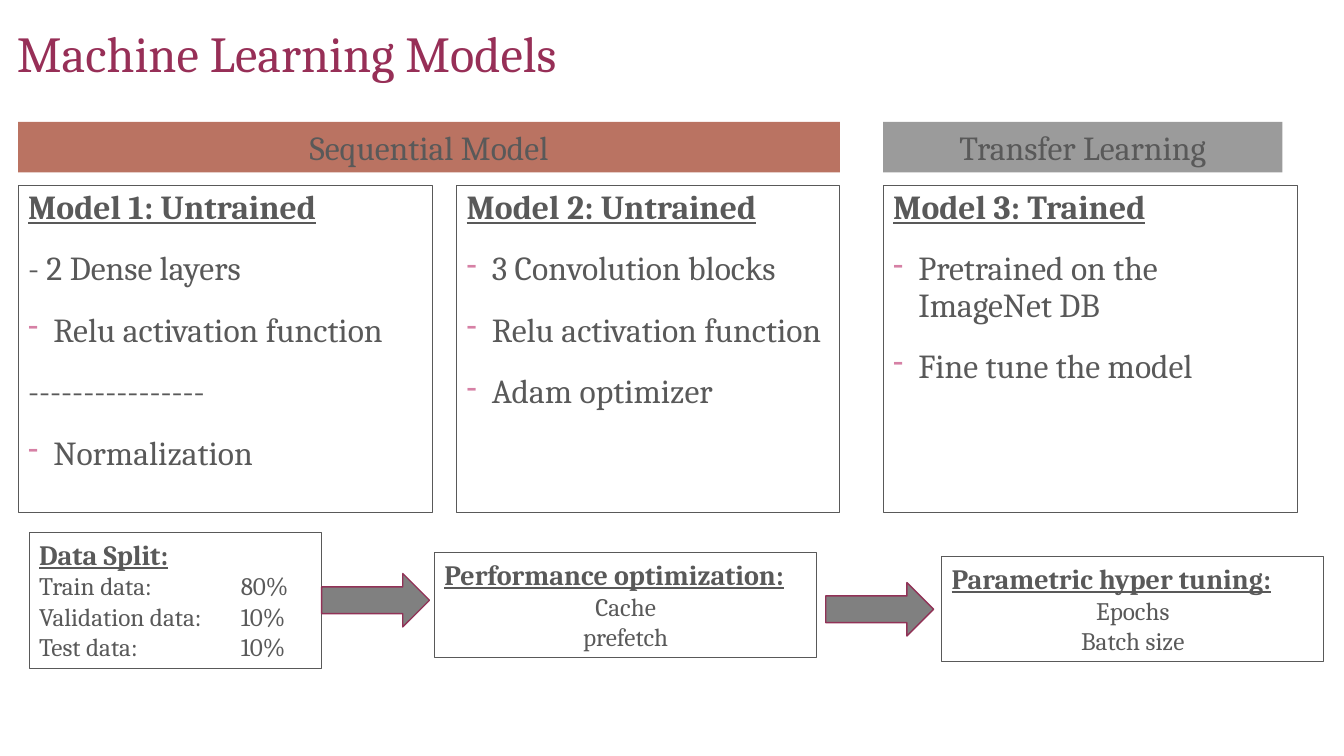
from dataclasses import dataclass

from lxml.etree import SubElement
from pptx import Presentation
from pptx.dml.color import RGBColor as Rgb
from pptx.enum.shapes import MSO_SHAPE as Shape
from pptx.enum.text import MSO_ANCHOR as Anchor, MSO_AUTO_SIZE as AutoSize, PP_ALIGN as Align
from pptx.oxml.ns import qn
from pptx.util import Inches, Pt


@dataclass(frozen=True)
class Theme:
    face: str = "Cambria"
    title: str = "972F57"
    ink: str = "595959"
    bullet: str = "D680A5"
    sequential: str = "BA7362"
    transfer: str = "9B9B9B"
    arrow: str = "808080"
    arrow_edge: str = "913257"
    title_size: int = 36
    model_size: int = 24
    step_size: int = 20
    detail_size: int = 18
    paragraph_gap: int = 18
    cell: float = 0.1
    hang: float = 0.25
    tab: float = 2.0


def apply(target, values):
    for attribute, value in values.items():
        setattr(target, attribute, value)


class ModelSlide:
    def __init__(self, deck, theme):
        self.theme = theme
        self.slide = deck.slides.add_slide(deck.slide_layouts[6])

    def grid(self, *cells):
        return [Inches(round(cell * self.theme.cell, 2)) for cell in cells]

    def block(self, place, preset=Shape.RECTANGLE, fill=None, edge=None, weight=0.75):
        block = self.slide.shapes.add_shape(preset, *self.grid(*place))
        block.shadow.inherit = False
        if fill:
            block.fill.solid()
            block.fill.fore_color.rgb = Rgb.from_string(fill)
        else:
            block.fill.background()
        if edge:
            block.line.color.rgb = Rgb.from_string(edge)
            block.line.width = Pt(weight)
        else:
            block.line.fill.background()
        apply(block.text_frame, {"word_wrap": True, "vertical_anchor": Anchor.TOP})
        return block

    def text_line(self, frame, index, words, size, color=None, heading=False, **layout):
        line = frame.add_paragraph() if index else frame.paragraphs[0]
        apply(line, {"alignment": Align.LEFT, **layout})
        run = line.add_run()
        run.text = words
        apply(run.font, {"name": self.theme.face, "size": Pt(size),
                         "bold": heading, "underline": heading})
        run.font.color.rgb = Rgb.from_string(color or self.theme.ink)
        return line

    def hang_bullet(self, line):
        properties = line._p.get_or_add_pPr()
        hang = Inches(self.theme.hang)
        properties.set("marL", str(hang))
        properties.set("indent", str(-hang))
        color = SubElement(properties, qn("a:buClr"))
        SubElement(color, qn("a:srgbClr"), val=self.theme.bullet)
        SubElement(properties, qn("a:buSzPct"), val="90000")
        SubElement(properties, qn("a:buChar"), char="-")

    def title(self, place, words):
        frame = self.slide.shapes.add_textbox(*self.grid(*place)).text_frame
        apply(frame, {"word_wrap": True, "vertical_anchor": Anchor.BOTTOM})
        self.text_line(frame, 0, words, self.theme.title_size, self.theme.title, line_spacing=0.9)

    def banner(self, place, words, fill):
        frame = self.block(place, fill=fill).text_frame
        frame.auto_size = AutoSize.SHAPE_TO_FIT_TEXT
        self.text_line(frame, 0, words, self.theme.model_size, alignment=Align.CENTER)

    def model(self, place, heading, features):
        frame = self.block(place, edge=self.theme.ink).text_frame
        self.text_line(frame, 0, heading, self.theme.model_size, heading=True, line_spacing=0.9)
        for index, feature in enumerate(features, 1):
            line = self.text_line(frame, index, feature, self.theme.model_size,
                                  line_spacing=0.9, space_before=Pt(self.theme.paragraph_gap))
            if not feature.startswith("-"):
                self.hang_bullet(line)

    def step(self, place, heading, details):
        frame = self.block(place, edge=self.theme.ink).text_frame
        frame.auto_size = AutoSize.SHAPE_TO_FIT_TEXT
        self.text_line(frame, 0, heading, self.theme.step_size, heading=True)
        for index, detail in enumerate(details, 1):
            tabbed = "\t" in detail
            line = self.text_line(frame, index, detail, self.theme.detail_size,
                                  alignment=Align.LEFT if tabbed else Align.CENTER)
            if tabbed:
                stops = SubElement(line._p.get_or_add_pPr(), qn("a:tabLst"))
                SubElement(stops, qn("a:tab"), pos=str(Inches(self.theme.tab)), algn="l")

    def arrow(self, left, top):
        self.block((left, top, 10.7, 5.3), Shape.RIGHT_ARROW,
                   self.theme.arrow, self.theme.arrow_edge, 1)


MODELS = [
    (1.8, 41.1, "Model 1: Untrained",
     ["- 2 Dense layers", "Relu activation function", "----------------", "Normalization"]),
    (45.3, 38, "Model 2: Untrained",
     ["3 Convolution blocks", "Relu activation function", "Adam optimizer"]),
    (87.6, 41.1, "Model 3: Trained",
     ["Pretrained on the ImageNet DB", "Fine tune the model"]),
]
STEPS = [
    ((2.9, 52.8, 29, 13.5), "Data Split:",
     ["Train data: \t80%", "Validation data: \t10%", "Test data: \t10%"]),
    ((43.1, 54.8, 37.9, 10.4), "Performance optimization:", ["Cache", "prefetch"]),
    ((93.4, 55.2, 37.9, 10.4), "Parametric hyper tuning:", ["Epochs", "Batch size"]),
]
ARROWS = [(31.9, 56.9), (81.9, 57.8)]


def main():
    deck = Presentation()
    apply(deck, {"slide_width": Inches(13.33), "slide_height": Inches(7.5)})
    theme = Theme()
    page = ModelSlide(deck, theme)
    page.title((0.7, 0.3, 110, 8.5), "Machine Learning Models")
    page.banner((1.8, 12.1, 81.5, 5), "Sequential Model", theme.sequential)
    page.banner((87.6, 12.1, 39.6, 5), "Transfer Learning", theme.transfer)
    for left, width, heading, features in MODELS:
        page.model((left, 18.4, width, 32.4), heading, features)
    for place, heading, details in STEPS:
        page.step(place, heading, details)
    for left, top in ARROWS:
        page.arrow(left, top)
    deck.save("out.pptx")


if __name__ == "__main__":
    main()
